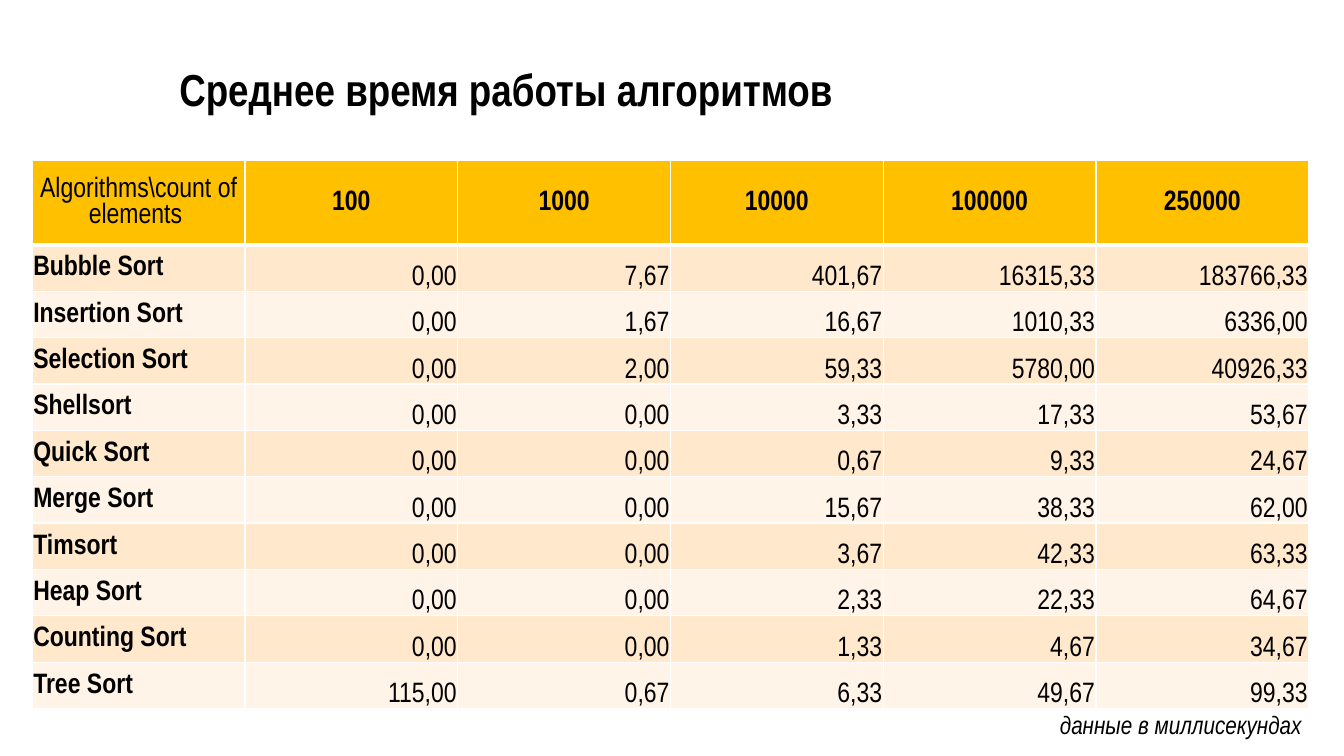
"""Build a slide with a table of mean sorting times."""
from typing import NamedTuple

from lxml import etree
from pptx import Presentation
from pptx.dml.color import RGBColor
from pptx.enum.text import MSO_ANCHOR, PP_ALIGN
from pptx.oxml.ns import qn
from pptx.util import Inches, Pt

LEFT, MID, RIGHT = PP_ALIGN.LEFT, PP_ALIGN.CENTER, PP_ALIGN.RIGHT
CENTRE, BASE = MSO_ANCHOR.MIDDLE, MSO_ANCHOR.BOTTOM
BLACK = RGBColor(0x00, 0x00, 0x00)
WHITE = RGBColor(0xFF, 0xFF, 0xFF)
GOLD = RGBColor(0xFF, 0xC0, 0x00)
PEACH = RGBColor(0xFF, 0xE8, 0xCC)
CREAM = RGBColor(0xFF, 0xF4, 0xE7)
FACE = "Arial Narrow"
COL, HEAD, ROW = 2.11, 0.84, 0.46


class Style(NamedTuple):
    align: PP_ALIGN
    size: int = 20
    bold: bool = False
    slant: bool = False


class Label(NamedTuple):
    text: str
    left: float
    top: float
    width: float
    height: float
    style: Style


class Sort(NamedTuple):
    name: str
    times: str


LABELS = [
    Label("данные в миллисекундах", 9.68, 6.99, 3.33, 0.4,
          Style(RIGHT, 18, slant=True)),
    Label("Среднее время работы алгоритмов", 1.68, 0.56, 10.07, 0.64,
          Style(LEFT, 32, bold=True)),
]
CORNER = r"Algorithms\count of elements "
COUNTS = "100 1000 10000 100000 250000".split()
SORTS = [
    Sort("Bubble Sort", "0,00 7,67 401,67 16315,33 183766,33"),
    Sort("Insertion Sort", "0,00 1,67 16,67 1010,33 6336,00"),
    Sort("Selection Sort", "0,00 2,00 59,33 5780,00 40926,33"),
    Sort("Shellsort", "0,00 0,00 3,33 17,33 53,67"),
    Sort("Quick Sort", "0,00 0,00 0,67 9,33 24,67"),
    Sort("Merge Sort", "0,00 0,00 15,67 38,33 62,00"),
    Sort("Timsort", "0,00 0,00 3,67 42,33 63,33"),
    Sort("Heap Sort", "0,00 0,00 2,33 22,33 64,67"),
    Sort("Counting Sort", "0,00 0,00 1,33 4,67 34,67"),
    Sort("Tree Sort", "115,00 0,67 6,33 49,67 99,33"),
]


def write(frame, text: str, style: Style) -> None:
    frame.word_wrap = True
    para = frame.paragraphs[0]
    para.text = text
    para.alignment = style.align
    font = para.font
    font.name, font.size = FACE, Pt(style.size)
    font.bold, font.italic = style.bold, style.slant
    font.color.rgb = BLACK


def edge(cell, top: int, base: int) -> None:
    props = cell._tc.get_or_add_tcPr()
    widths = {"a:lnL": 1, "a:lnR": 1, "a:lnT": top, "a:lnB": base}
    for index, (tag, width) in enumerate(widths.items()):
        line = etree.Element(qn(tag), w=str(Pt(width)))
        fill = etree.SubElement(line, qn("a:solidFill"))
        etree.SubElement(fill, qn("a:srgbClr"), val=str(WHITE))
        props.insert(index, line)


def draw_cell(cell, text: str, row: int, col: int) -> None:
    if row == 0:
        style, fill = Style(MID, bold=col > 0), GOLD
    else:
        style = Style(RIGHT) if col else Style(LEFT, bold=True)
        fill = PEACH if row % 2 else CREAM
    cell.margin_left = cell.margin_right = cell.margin_top = Inches(0.01)
    cell.margin_bottom = 0
    cell.vertical_anchor = BASE if row and col else CENTRE
    cell.fill.solid()
    cell.fill.fore_color.rgb = fill
    edge(cell, 3 if row == 1 else 1, 1 if row else 3)
    write(cell.text_frame, text, style)


def draw_table(slide) -> None:
    rows = [[CORNER, *COUNTS]]
    rows += [[sort.name, *sort.times.split()] for sort in SORTS]
    wide, high = len(rows[0]), len(rows)
    table = slide.shapes.add_table(
        high, wide, Inches(0.32), Inches(1.59), Inches(COL * wide),
        Inches(HEAD + ROW * len(SORTS))).table
    for col in table.columns:
        col.width = Inches(COL)
    for r, texts in enumerate(rows):
        table.rows[r].height = Inches(ROW if r else HEAD)
        for c, text in enumerate(texts):
            draw_cell(table.cell(r, c), text, r, c)


def draw_label(slide, label: Label) -> None:
    box = slide.shapes.add_textbox(
        Inches(label.left), Inches(label.top),
        Inches(label.width), Inches(label.height))
    write(box.text_frame, label.text, label.style)


def main() -> None:
    deck = Presentation()
    deck.slide_width, deck.slide_height = Inches(13.33), Inches(7.5)
    slide = deck.slides.add_slide(deck.slide_layouts[6])
    draw_table(slide)
    for label in LABELS:
        draw_label(slide, label)
    deck.save("out.pptx")


if __name__ == "__main__":
    main()
